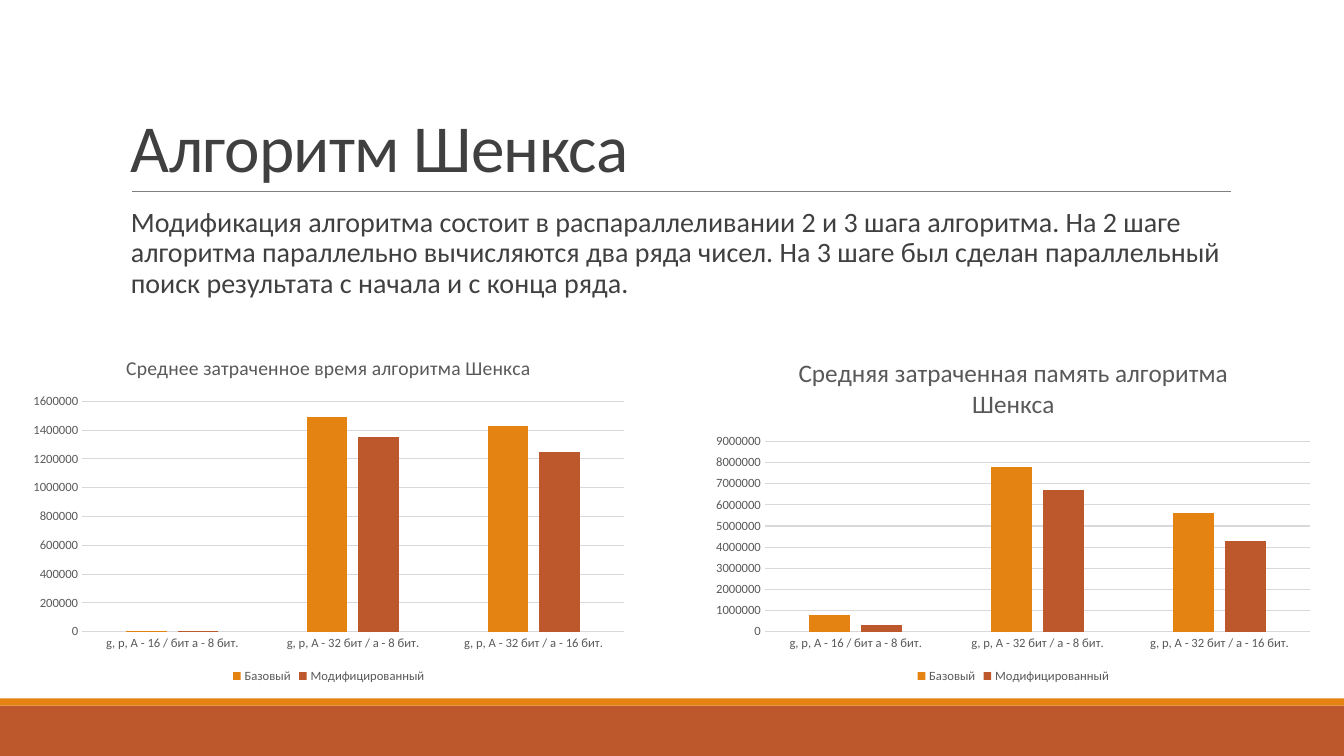
from lxml.etree import SubElement
from pptx import Presentation
from pptx.chart.data import CategoryChartData
from pptx.dml.color import RGBColor
from pptx.enum.chart import XL_CHART_TYPE, XL_LEGEND_POSITION, XL_TICK_MARK
from pptx.enum.shapes import MSO_CONNECTOR, MSO_SHAPE
from pptx.enum.text import MSO_ANCHOR
from pptx.oxml.ns import qn
from pptx.util import Inches, Pt

COLORS = {"orange": "E48312", "rust": "BD582C", "rule": "808080",
          "text": "404040", "label": "595959", "grid": "D9D9D9"}
FONT = "Calibri"
WIDTH, HEIGHT = 13.33, 7.5
TEXT_LEFT, TEXT_WIDTH = 1.2, 11
CHART_TOP, CHART_HEIGHT = 3.36, 3.46


def color(name):
    return RGBColor.from_string(COLORS[name])


def add_text(text, top, height, size, line_spacing, anchor=MSO_ANCHOR.TOP, tracking=0, before=0, after=0):
    box = page.shapes.add_textbox(Inches(TEXT_LEFT), Inches(top), Inches(TEXT_WIDTH), Inches(height))
    frame = box.text_frame
    frame.word_wrap = True
    frame.vertical_anchor = anchor
    frame.margin_right = Inches(0)
    para = frame.paragraphs[0]
    para.line_spacing = line_spacing
    para.space_before, para.space_after = Pt(before), Pt(after)
    span = para.add_run()
    span.text = text
    span.font.name, span.font.size = FONT, Pt(size)
    span.font.color.rgb = color("text")
    span.font._element.set("spc", str(int(tracking * 100)))


deck = Presentation()
deck.slide_width, deck.slide_height = Inches(WIDTH), Inches(HEIGHT)
page = deck.slides.add_slide(deck.slide_layouts[6])

for top, height, fill in [(7, 0.5, "rust"), (6.93, 0.07, "orange")]:
    band = page.shapes.add_shape(MSO_SHAPE.RECTANGLE, 0, Inches(top), deck.slide_width, Inches(height))
    band.shadow.inherit = False
    band.fill.solid()
    band.fill.fore_color.rgb = color(fill)
    band.line.fill.background()

rule = page.shapes.add_connector(MSO_CONNECTOR.STRAIGHT, Inches(1.31), Inches(1.9), Inches(12.21), Inches(1.9))
rule.line.color.rgb = color("rule")
rule.line.width = Pt(0.5)
SubElement(rule._element.spPr, qn("a:effectLst"))

add_text("Алгоритм Шенкса", 0.31, 1.59, 48, 0.85, anchor=MSO_ANCHOR.BOTTOM, tracking=-0.5)
add_text("Модификация алгоритма состоит в распараллеливании 2 и 3 шага алгоритма. "
         "На 2 шаге алгоритма параллельно вычисляются два ряда чисел. "
         "На 3 шаге был сделан параллельный поиск результата с начала и с конца ряда.",
         2.02, 1.34, 20, 0.9, before=12, after=2)

categories = ["g, p, A - 16 / бит a - 8 бит.", "g, p, A - 32 бит / a - 8 бит.", "g, p, A - 32 бит / a - 16 бит."]
charts = [
    ("Среднее затраченное время алгоритма Шенкса", 14, 0.21, 6.1, 1600000, 200000,
     [2000, 1490000, 1430000], [2000, 1350000, 1250000]),
    ("Средняя затраченная память алгоритма Шенкса", 18, 6.98, 6.14, 9000000, 1000000,
     [800000, 7800000, 5600000], [300000, 6700000, 4300000]),
]
for title, title_size, left, width, maximum, step, basic, modified in charts:
    data = CategoryChartData()
    data.categories = categories
    data.add_series("Базовый", basic)
    data.add_series("Модифицированный", modified)
    chart = page.shapes.add_chart(XL_CHART_TYPE.COLUMN_CLUSTERED, Inches(left), Inches(CHART_TOP),
                                  Inches(width), Inches(CHART_HEIGHT), data).chart
    chart.font.name, chart.font.size = FONT, Pt(9)
    chart.font.color.rgb = color("label")

    chart.has_title = True
    span = chart.chart_title.text_frame.paragraphs[0].add_run()
    span.text = title
    span.font.name, span.font.size, span.font.bold = FONT, Pt(title_size), False
    span.font.color.rgb = color("label")
    chart.chart_title.include_in_layout = False

    chart.has_legend = True
    chart.legend.position = XL_LEGEND_POSITION.BOTTOM
    chart.legend.include_in_layout = False

    for axis in (chart.category_axis, chart.value_axis):
        axis.major_tick_mark = axis.minor_tick_mark = XL_TICK_MARK.NONE
    chart.value_axis.minimum_scale, chart.value_axis.maximum_scale = 0, maximum
    chart.value_axis.major_unit = step
    chart.value_axis.format.line.fill.background()
    for line in (chart.category_axis.format.line, chart.value_axis.major_gridlines.format.line):
        line.color.rgb = color("grid")
        line.width = Pt(0.75)

    plot = chart.plots[0]
    plot.vary_by_categories = False
    plot.gap_width, plot.overlap = 219, -27
    for series, fill in zip(plot.series, ("orange", "rust")):
        series.format.fill.solid()
        series.format.fill.fore_color.rgb = color(fill)

deck.save("out.pptx")
